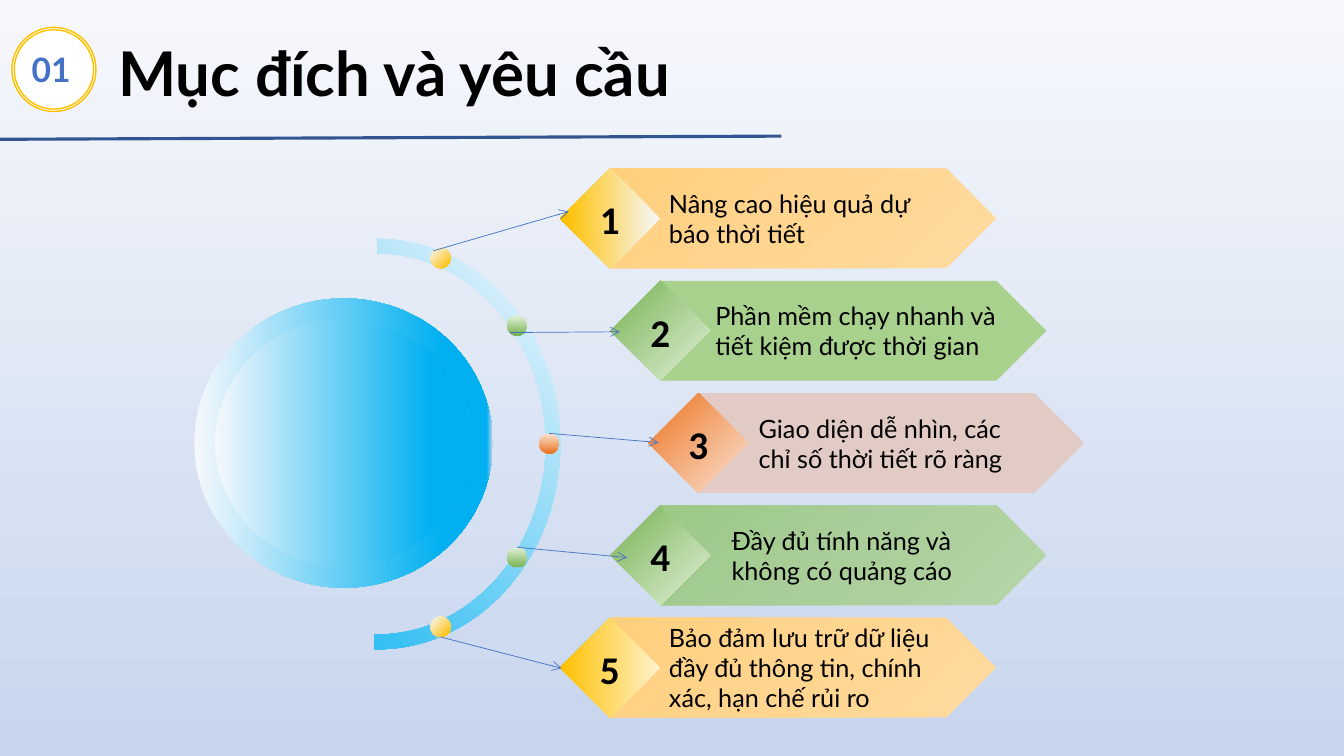
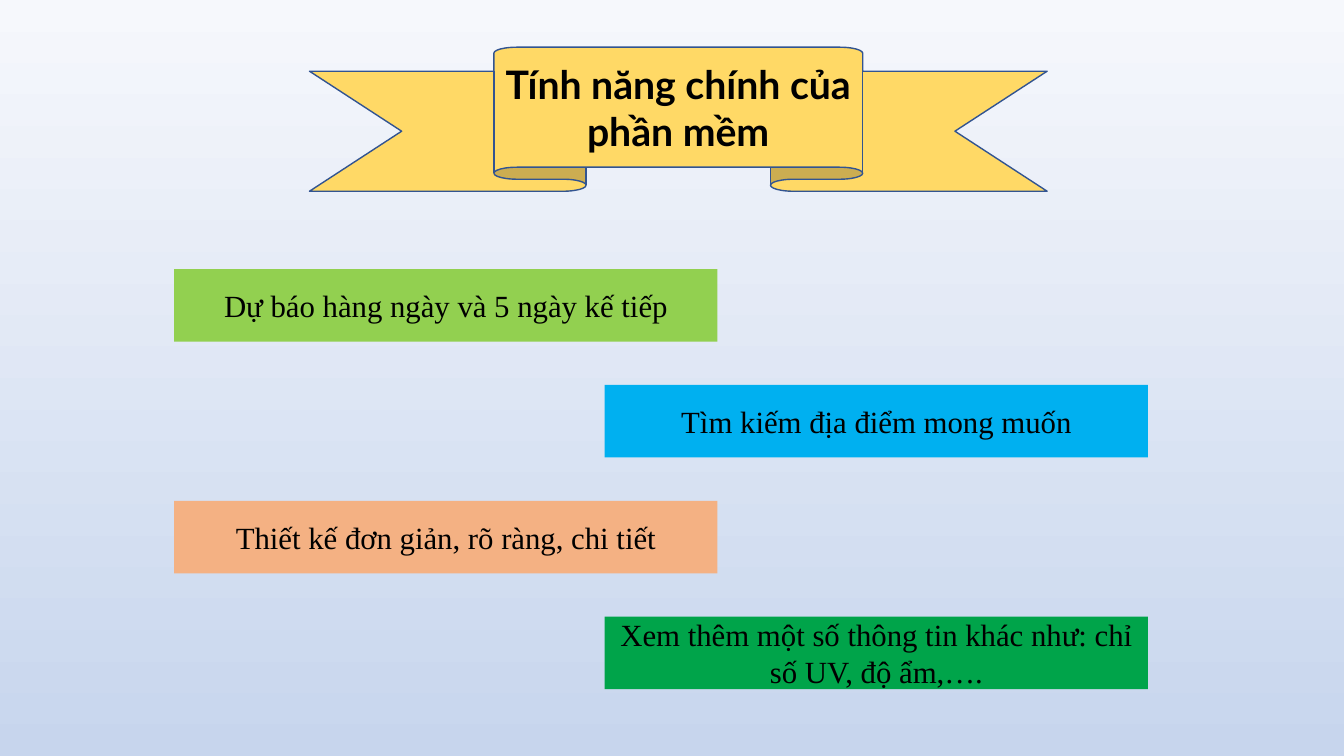
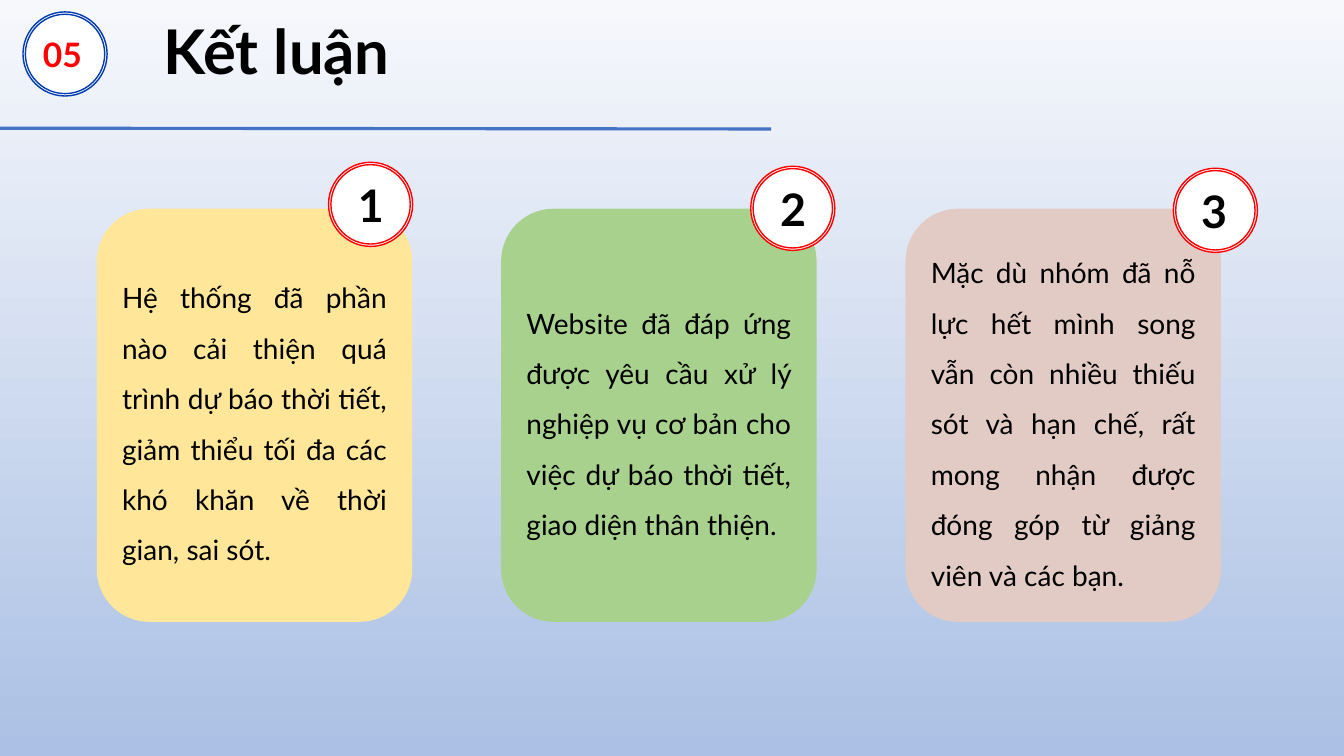
import copy
import pptx
import pptx.util
import pptx.dml.color
import pptx.enum.shapes
import pptx.enum.text
import pptx.oxml.ns
import lxml.etree

Cm = pptx.util.Cm
Pt = pptx.util.Pt
RGB = pptx.dml.color.RGBColor.from_string
Form = pptx.enum.shapes.MSO_SHAPE
Align = pptx.enum.text.PP_ALIGN
Anchor = pptx.enum.text.MSO_ANCHOR
qn = pptx.oxml.ns.qn

hue = {
    "black": "000000", "white": "FFFFFF", "red": "FF0000",
    "pale": "F6F8FC", "mist": "C7D5ED", "haze": "ABC0E4",
    "blue": "4472C4", "navy": "325491", "royal": "003BB0", "sky": "00B0F0",
    "gold": "FFC000", "cream": "FFF2CC", "ribbon": "FFD966", "butter": "FFE699",
    "peach": "FFDB9E", "apricot": "FFD590", "honey": "FFD07C",
    "leaf": "79B354", "mint": "E2F0D9", "grass": "A9D18E",
    "sage": "B5D5A7", "moss": "AACE9A", "fern": "9CC987",
    "orange": "EC7524", "blush": "FBE5D6", "rose": "E2CBC5",
    "lime": "92D050", "salmon": "F4B183", "green": "00A44A",
}


def put(shapes, form, box, fill, line=None, turn=0, adj=()):
    shape = shapes.add_shape(form, *[Cm(n) for n in box])
    shape.shadow.inherit = False
    shape.rotation = turn
    for i, size in enumerate(adj):
        shape.adjustments[i] = size
    if isinstance(fill, str):
        shape.fill.solid()
        shape.fill.fore_color.rgb = RGB(hue[fill])
    else:
        stops, angle = fill
        shape.fill.gradient()
        shape.fill.gradient_angle = (360 - angle) % 360
        first = shape.element.spPr.find(".//" + qn("a:gs"))
        for _ in stops[2:]:
            first.addnext(copy.deepcopy(first))
        for stop, (place, name) in zip(shape.fill.gradient_stops, stops):
            stop.position = place
            stop.color.rgb = RGB(hue[name])
    if line:
        shape.line.color.rgb = RGB(hue[line])
        shape.line.width = Pt(1)
    else:
        shape.line.fill.background()
    return shape


def say(shape, text, size, font="Lato", bold=False, tint="black",
        align=Align.LEFT, space=1.0):
    frame = shape.text_frame
    frame.text = text
    frame.word_wrap = True
    frame.auto_size = pptx.enum.text.MSO_AUTO_SIZE.NONE
    frame.vertical_anchor = Anchor.MIDDLE
    para = frame.paragraphs[0]
    para.alignment = align
    para.line_spacing = space
    style = para.runs[0].font
    style.name = font
    style.size = Pt(size)
    style.bold = bold
    style.color.rgb = RGB(hue[tint])


deck = pptx.Presentation()
deck.slide_width = Cm(33.87)
deck.slide_height = Cm(19.05)
goals, tools, close = [deck.slides.add_slide(deck.slide_layouts[5]) for _ in range(3)]

for page, base in [(deck.slide_master, "mist"), (close, "haze")]:
    back = page.background.fill
    back.gradient()
    back.gradient_angle = 270
    for stop, place, name in zip(back.gradient_stops, (0, 1), ("pale", base)):
        stop.position = place
        stop.color.rgb = RGB(hue[name])

put(tools.shapes, Form.UP_RIBBON, (7.8, 1.19, 18.59, 3.63), "ribbon", "navy")

heads = [
    (goals, "Mục đích và yêu cầu", (2.72, 0.74, 16.15, 2.13), 44, Align.LEFT),
    (tools, "Tính năng chính của phần mềm", (12.34, 1.19, 9.5, 3.02), 28, Align.CENTER),
    (close, "Kết luận", (3.86, 0.18, 7.06, 2.13), 44, Align.LEFT),
]
for page, text, box, size, align in heads:
    title = page.shapes.title
    title.left, title.top, title.width, title.height = [Cm(n) for n in box]
    say(title, text, size, bold=True, align=align)
    tree = title.element.getparent()
    tree.remove(title.element)
    tree.append(title.element)

globe = ([(0, "pale"), (0.83, "sky"), (0.98, "sky"), (1, "mist")], 0)
put(goals.shapes, Form.OVAL, (5.41, 7.9, 6.6, 6.45), globe)
put(goals.shapes, Form.DONUT, (4.9, 7.52, 7.52, 7.29), globe, adj=[0.07])
put(goals.shapes, Form.BLOCK_ARC, (4.34, 6.58, 10.34, 9.22),
    ([(0, "pale"), (0.96, "sky")], 45), turn=90, adj=[108, 0.46, 0.04])

warm = ([(0, "peach"), (0.5, "apricot"), (1, "honey")], 225)
cool = ([(0, "sage"), (0.5, "moss"), (1, "fern")], 225)
gold = ([(0, "pale"), (0.96, "gold")], 45)
cream = ([(0, "cream"), (1, "gold")], 45)
leaf = ([(0, "mint"), (0.98, "leaf")], 90)
fire = ([(0, "blush"), (0.98, "orange")], 90)

aims = [
    ("Nâng cao hiệu quả dự báo thời tiết", 15.37, 16.61, 6.99,
     warm, gold, gold, (10.85, 6.25)),
    ("Phần mềm chạy nhanh và tiết kiệm được thời gian", 16.64, 17.78, 8.28,
     "grass", leaf, leaf, (12.78, 7.95)),
    ("Giao diện dễ nhìn, các chỉ số thời tiết rõ ràng", 17.6, 18.87, 7.21,
     "rose", fire, fire, (13.59, 10.92)),
    ("Đầy đủ tính năng và không có quảng cáo", 16.64, 18.19, 6.93,
     cool, leaf, leaf, (12.78, 13.79)),
    ("Bảo đảm lưu trữ dữ liệu đầy đủ thông tin, chính xác, hạn chế rủi ro", 15.37, 16.61, 7.59,
     warm, cream, gold, (10.85, 15.54)),
]
high = 2.51
side = 1.78
for i, (text, left, start, wide, fill, gem, dot, spot) in enumerate(aims):
    top = 4.25 + 2.83 * i
    put(goals.shapes, Form.PENTAGON, (left, top, 9.73, high), fill)
    put(goals.shapes, Form.RECTANGLE,
        (left - side / 2, top + (high - side) / 2, side, side), gem, turn=135)
    put(goals.shapes, Form.OVAL, (*spot, 0.51, 0.51), dot)
    label = goals.shapes.add_textbox(Cm(start), Cm(top), Cm(wide), Cm(high))
    say(label, text, 18)
    count = goals.shapes.add_textbox(Cm(left - 0.8), Cm(top + 0.55), Cm(1.6), Cm(1.45))
    say(count, str(i + 1), 28, "Calibri", True, align=Align.CENTER)

traits = [
    ("Dự báo hàng ngày và 5 ngày kế tiếp", "lime"),
    ("Tìm kiếm địa điểm mong muốn", "sky"),
    ("Thiết kế đơn giản, rõ ràng, chi tiết", "salmon"),
    ("Xem thêm một số thông tin khác như: chỉ số UV, độ ẩm,….", "green"),
]
for i, (text, fill) in enumerate(traits):
    left = 15.24 if i % 2 else 4.39
    bar = put(tools.shapes, Form.RECTANGLE, (left, 6.78 + 2.92 * i, 13.69, 1.83), fill)
    say(bar, text, 22, "Times New Roman", align=Align.CENTER)

notes = [
    ("Hệ thống đã phần nào cải thiện quá trình dự báo thời tiết, giảm thiểu tối đa các khó khăn về thời gian, sai sót.", "butter"),
    ("Website đã đáp ứng được yêu cầu xử lý nghiệp vụ cơ bản cho việc dự báo thời tiết, giao diện thân thiện.", "grass"),
    ("Mặc dù nhóm đã nỗ lực hết mình song vẫn còn nhiều thiếu sót và hạn chế, rất mong nhận được đóng góp từ giảng viên và các bạn.", "rose"),
]
for i, (text, fill) in enumerate(notes):
    card = put(close.shapes, Form.ROUNDED_RECTANGLE,
               (2.44 + 10.19 * i, 5.26, 7.95, 10.41), fill)
    say(card, text, 20, align=Align.JUSTIFY, space=1.5)

marks = [
    (goals, "01", 0.3, 0.69, "gold", "blue", 24, 0.25, 0.42),
    (close, "05", 0.58, 0.3, "royal", "red", 24, 0.25, 0.42),
    (close, "1", 8.28, 4.09, "red", "black", 32, 0.49, 0.26),
    (close, "2", 18.92, 4.19, "red", "black", 32, 0.49, 0.26),
    (close, "3", 29.57, 4.24, "red", "black", 32, 0.45, 0.26),
]
for page, text, left, top, line, tint, size, right, down in marks:
    badge = page.shapes.add_group_shape().shapes
    put(badge, Form.DONUT, (left, top, 2.12, 2.12), "white", line, adj=[0.05])
    put(badge, Form.OVAL, (left + 0.06, top + 0.06, 2, 2), "white", line)
    label = page.shapes.add_textbox(Cm(left + right), Cm(top + down), Cm(1.6),
                                    Cm(1.28 if size == 24 else 1.62))
    say(label, text, size, bold=True, tint=tint)

lines = [
    (goals, (0, 3.51, 19.69, 3.43), "navy", 2.25),
    (close, (0, 3.23, 19.43, 3.25), "blue", 2.25),
    (goals, (10.92, 6.32, 14.33, 5.33), "blue", 0.5),
    (goals, (12.85, 8.38, 15.62, 8.36), "blue", 0.5),
    (goals, (13.84, 10.92, 16.59, 11.15), "blue", 0.5),
    (goals, (13.03, 13.79, 15.8, 14.05), "blue", 0.5),
    (goals, (11.1, 16.05, 14.15, 16.84), "blue", 0.5),
]
for page, ends, tint, width in lines:
    link = page.shapes.add_connector(
        pptx.enum.shapes.MSO_CONNECTOR.STRAIGHT, *[Cm(n) for n in ends])
    link.line.color.rgb = RGB(hue[tint])
    link.line.width = Pt(width)
    props = link.element.spPr
    if width < 1:
        lxml.etree.SubElement(props.find(qn("a:ln")), qn("a:tailEnd"), type="arrow")
    lxml.etree.SubElement(props, qn("a:effectLst"))

deck.save("out.pptx")
